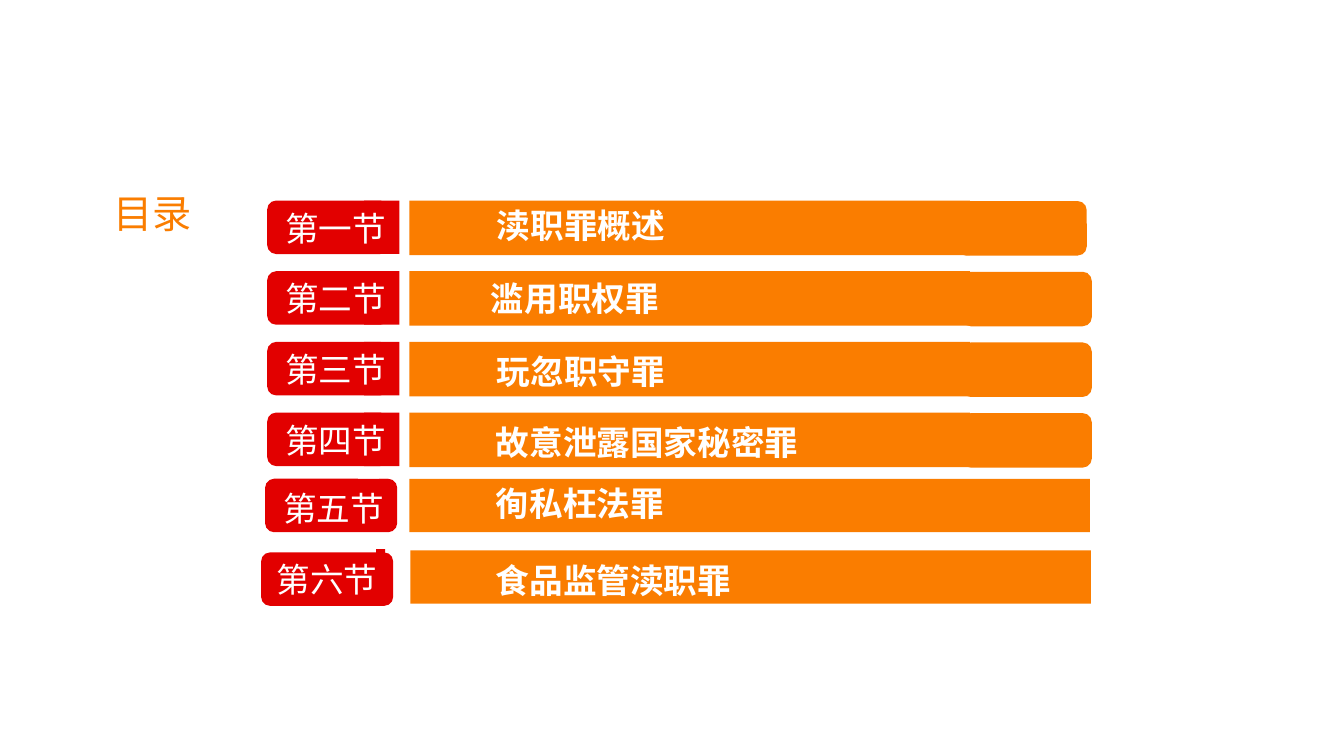
from pptx import Presentation
from pptx.dml.color import RGBColor
from pptx.enum.shapes import MSO_SHAPE
from pptx.enum.text import MSO_ANCHOR, MSO_AUTO_SIZE, PP_ALIGN
from pptx.util import Inches, Pt

WIDE, HIGH = Inches(13.33), Inches(7.5)
COLORS = {"orange": "FA7D00", "red": "E20000", "white": "FFFFFF"}
FONT = "Noto Sans CJK SC"
SLIDE = (0, 0, WIDE, HIGH)
RECT, ROUND = MSO_SHAPE.RECTANGLE, MSO_SHAPE.ROUNDED_RECTANGLE


def part(box, x, y, w, h):
    """Return the area whose place and size are percentages of box."""
    left, top, width, height = box
    return (int(left + width * x / 100), int(top + height * y / 100),
            int(width * w / 100), int(height * h / 100))


def block(shapes, kind, area, color):
    shape = shapes.add_shape(kind, *area)
    shape.shadow.inherit = False
    shape.fill.solid()
    shape.fill.fore_color.rgb = RGBColor.from_string(COLORS[color])
    shape.line.fill.background()
    return shape


def write(frame, text, size=24, color="white", bold=False, align=PP_ALIGN.LEFT):
    para = frame.paragraphs[0]
    para.alignment = align
    run = para.add_run()
    run.text = text
    font = run.font
    font.size, font.bold, font.name = Pt(size), bold, FONT
    font.color.rgb = RGBColor.from_string(COLORS[color])
    fonts = run._r.get_or_add_rPr()
    east = fonts.makeelement(
        "{http://schemas.openxmlformats.org/drawingml/2006/main}ea", {"typeface": FONT})
    fonts.find("{*}latin").addnext(east)


def label(shapes, area, text, wrap=False, **style):
    frame = shapes.add_textbox(*area).text_frame
    frame.word_wrap = wrap
    frame.auto_size = MSO_AUTO_SIZE.SHAPE_TO_FIT_TEXT
    write(frame, text, **style)


def title(shapes, box, text, x, y):
    label(shapes, part(box, x, y, 77.14, 94), text, wrap=True, bold=True)


def round_row(shapes, box, tag, text, cap, x, y):
    """Draw a section whose bar ends in a rounded cap."""
    block(shapes, ROUND, part(box, cap, 1, 15.77, 102), "orange")
    group = shapes.add_group_shape().shapes
    block(group, ROUND, part(box, 0, 0, 14.79, 100), "red")
    block(group, RECT, part(box, 11.74, 0, 4.28, 100), "red")
    block(group, RECT, part(box, 17.24, 0, 67.97, 102), "orange")
    label(shapes, part(box, 0.98, 4, 14.79, 94), tag)
    title(shapes, box, text, x, y)


def square_row(shapes, box, tag, text, nub, bar, x, y, inside):
    """Draw a section with a square bar; nub and bar are (x, y) places."""
    group = shapes.add_group_shape().shapes
    badge = block(group, ROUND, part(box, 0, 0, 16.01, 100), "red")
    block(group, RECT, part(box, *nub, 1.1, 51), "red")
    block(group, RECT, part(box, *bar, 82.52, 100), "orange")
    if inside:
        badge.text_frame.vertical_anchor = MSO_ANCHOR.MIDDLE
        write(badge.text_frame, tag, align=PP_ALIGN.CENTER)
    else:
        label(shapes, part(box, 0.98, 7, 14.79, 94), tag)
    title(shapes, box, text, x, y)


def contents(shapes, box):
    label(shapes, part(box, 7.73, 24.4, 7.43, 7.6), "目录", size=28, color="orange")
    rounds = [
        ("第一节", "渎职罪概述", 83.62, 26.65, -2),
        ("第二节", "滥用职权罪", 84.23, 25.92, 4),
        ("第三节", "玩忽职守罪", 84.23, 26.65, 8),
        ("第四节", "故意泄露国家秘密罪", 84.23, 26.53, 9),
    ]
    for i, row in enumerate(rounds):
        round_row(shapes, part(box, 19.88, 26.53 + 9.35 * i, 61.36, 7.07), *row)
    squares = [
        (19.73, 63.33, "第五节", "徇私枉法罪", (13.81, 0), (17.48, 0), 26.77, -2, False),
        (19.43, 73.07, "第六节", "食品监管渎职罪", (13.94, -6), (18.09, -4), 27.26, 4, True),
    ]
    for left, top, *row in squares:
        square_row(shapes, part(box, left, top, 61.36, 7.07), *row)


def main():
    deck = Presentation()
    deck.slide_width, deck.slide_height = WIDE, HIGH
    slide = deck.slides.add_slide(deck.slide_layouts[6])
    contents(slide.shapes, SLIDE)
    deck.save("out.pptx")


if __name__ == "__main__":
    main()
